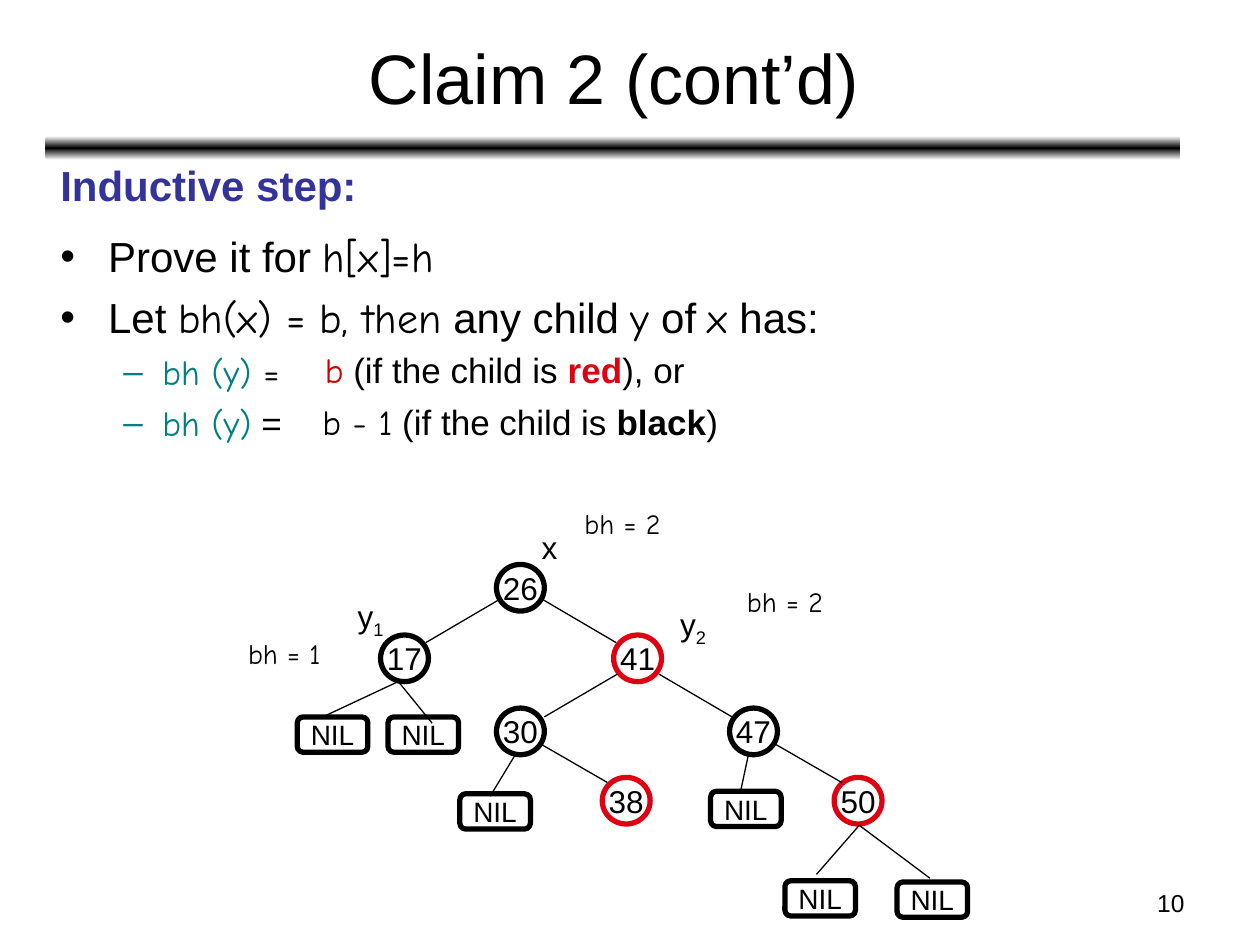
"""Build the red-black tree slide for the inductive step of Claim 2."""
from copy import deepcopy

from lxml import etree
from pptx import Presentation
from pptx import util as u
from pptx.dml.color import RGBColor
from pptx.enum import shapes, text
from pptx.oxml import ns

BLACK = RGBColor(0x00, 0x00, 0x00)
WHITE = RGBColor(0xFF, 0xFF, 0xFF)
RED = RGBColor(0xDD, 0x01, 0x11)
DARK_RED = RGBColor(0xCC, 0x00, 0x00)
TEAL = RGBColor(0x00, 0x80, 0x80)
INDIGO = RGBColor(0x33, 0x33, 0x99)
SANS = "Arial"
HAND = "Comic Neue"
CENTER = text.PP_ALIGN.CENTER
MIDDLE = text.MSO_ANCHOR.MIDDLE


def add_run(paragraph, words, size=18, font=SANS, color=BLACK, bold=False, baseline=None):
    run = paragraph.add_run()
    run.text = words
    run.font.size = u.Pt(size)
    run.font.name = font
    run.font.color.rgb = color
    run.font.bold = bold
    if baseline is not None:
        run.font._element.set("baseline", str(baseline * 1000))


class TreeSlide:
    def __init__(self, slide, node_size=(0.38, 0.37), leaf_size=(0.56, 0.28)):
        self.slide = slide
        self.node_size = node_size
        self.leaf_size = leaf_size

    def text_box(self, box, runs=(), align=text.PP_ALIGN.LEFT, anchor=text.MSO_ANCHOR.TOP, wrap=True):
        shape = self.slide.shapes.add_textbox(*map(u.Inches, box))
        frame = shape.text_frame
        frame.word_wrap = wrap
        frame.auto_size = text.MSO_AUTO_SIZE.NONE if wrap else text.MSO_AUTO_SIZE.SHAPE_TO_FIT_TEXT
        frame.vertical_anchor = anchor
        paragraph = frame.paragraphs[0]
        paragraph.alignment = align
        for words, style in runs:
            add_run(paragraph, words, **style)
        return frame

    def body_line(self, paragraph, runs, margin=0.38, indent=0.38, before=6,
                  bullet=None, bullet_color=BLACK, spacing=1.0):
        paragraph.space_before = u.Pt(before)
        paragraph.line_spacing = spacing
        properties = paragraph._p.get_or_add_pPr()
        properties.set("marL", str(u.Inches(margin)))
        properties.set("indent", str(-u.Inches(indent)))
        if bullet:
            color = etree.SubElement(properties, ns.qn("a:buClr"))
            etree.SubElement(color, ns.qn("a:srgbClr"), val=str(bullet_color))
            etree.SubElement(properties, ns.qn("a:buFont"), typeface=SANS)
            etree.SubElement(properties, ns.qn("a:buChar"), char=bullet)
        for words, style in runs:
            add_run(paragraph, words, **style)

    def divider(self, box):
        shape = self.slide.shapes.add_shape(shapes.MSO_SHAPE.ROUNDED_RECTANGLE, *map(u.Inches, box))
        shape.shadow.inherit = False
        shape.line.fill.background()
        shape.fill.gradient()
        stop_list = next(shape._element.iter(ns.qn("a:gsLst")))
        stop_list.append(deepcopy(stop_list[0]))
        for stop, position, color in zip(shape.fill.gradient_stops, (0, 0.5, 1), (WHITE, BLACK, WHITE)):
            stop.position = position
            stop.color.rgb = color
        shape.fill.gradient_angle = 90

    def outlined(self, kind, left, top, size, label, font_size, color=BLACK):
        shape = self.slide.shapes.add_shape(kind, *map(u.Inches, (left, top, *size)))
        shape.shadow.inherit = False
        shape.fill.background()
        shape.line.color.rgb = color
        shape.line.width = u.Pt(3)
        frame = shape.text_frame
        frame.word_wrap = False
        frame.vertical_anchor = MIDDLE
        frame.paragraphs[0].alignment = CENTER
        add_run(frame.paragraphs[0], label, size=font_size)

    def node(self, label, left, top, color=BLACK):
        self.outlined(shapes.MSO_SHAPE.OVAL, left, top, self.node_size, label, 18, color)

    def leaf(self, left, top):
        self.outlined(shapes.MSO_SHAPE.ROUNDED_RECTANGLE, left, top, self.leaf_size, "NIL", 16)

    def edge(self, *ends):
        line = self.slide.shapes.add_connector(shapes.MSO_CONNECTOR.STRAIGHT, *map(u.Inches, ends))
        line.line.color.rgb = BLACK
        line.line.width = u.Pt(0.75)
        etree.SubElement(line._element.spPr, ns.qn("a:effectLst"))


def add_claim(page):
    page.divider((0.36, 1.08, 9.01, 0.19))
    page.text_box((7.17, 7, 2.33, 0.35), [("10", dict(size=14))], align=text.PP_ALIGN.RIGHT)
    page.text_box((0.37, 0.11, 9, 0.99), [("Claim 2 (cont’d)", dict(size=40))], CENTER, MIDDLE)

    sans, hand = dict(size=24), dict(size=24, font=HAND)
    small, small_hand = dict(size=20), dict(size=20, font=HAND)
    dot = dict(bullet="•")
    dash = dict(bullet="–", bullet_color=TEAL, margin=0.81, indent=0.31, before=5)
    height = ("bh (y)", dict(small_hand, color=TEAL))
    lines = [
        ([("Inductive step:", dict(sans, color=INDIGO, bold=True))], {}),
        ([("Prove it for ", sans), ("h[x]=h", hand)], dict(dot, spacing=1.2)),
        ([("Let ", sans), ("bh(x) = b, then", hand), (" any child ", sans), ("y", hand),
          (" of ", sans), ("x", hand), (" has:", sans)], dot),
        ([height, (" =", small_hand)], dash),
        ([height, (" =", small)], dash),
    ]
    frame = page.text_box((0.38, 1.22, 9.11, 6.36))
    for index, (runs, layout) in enumerate(lines):
        paragraph = frame.add_paragraph() if index else frame.paragraphs[0]
        page.body_line(paragraph, runs, **layout)

    condition = (" (if the child is ", small)
    page.text_box((2.48, 2.72, 3.1, 0.44), [
        ("b", dict(small_hand, color=DARK_RED)), condition,
        ("red", dict(small, color=RED, bold=True)), ("), or", small)], wrap=False)
    page.text_box((2.46, 3.13, 3.4, 0.44), [
        ("b - 1", small_hand), condition,
        ("black", dict(small, bold=True)), (")", small)], wrap=False)


def add_tree(page):
    for label, left, top, color in [
        ("26", 3.94, 4.48, BLACK), ("17", 3.02, 5.04, BLACK), ("41", 4.87, 5.04, RED),
        ("30", 3.94, 5.62, BLACK), ("47", 5.79, 5.62, BLACK),
        ("38", 4.78, 6.17, RED), ("50", 6.62, 6.17, RED),
    ]:
        page.node(label, left, top, color)

    for name, subscript, box in [
        ("x", "", (4.2, 4.14, 0.35, 0.4)),
        ("y", "1", (2.74, 4.69, 0.45, 0.44)),
        ("y", "2", (5.3, 4.75, 0.45, 0.44)),
    ]:
        runs = [(name, {})] + ([(subscript, dict(baseline=-25))] if subscript else [])
        page.text_box(box, runs, wrap=False)

    for value, left, top in [(2, 5.83, 4.59), (2, 4.54, 3.97), (1, 1.87, 5)]:
        page.text_box((left, top, 0.85, 0.37), [(f"bh = {value}", dict(size=16, font=HAND))], wrap=False)

    for left, top in [(2.36, 5.69), (3.08, 5.69), (3.65, 6.3), (5.64, 6.28), (7.12, 7), (6.23, 6.99)]:
        page.leaf(left, top)

    for ends in [
        (3.96, 4.76, 3.38, 5.1), (4.31, 4.76, 4.89, 5.1),
        (4.9, 5.35, 4.32, 5.69), (5.23, 5.35, 5.81, 5.69),
        (4.3, 5.91, 4.82, 6.21), (6.16, 5.91, 6.68, 6.21),
        (3.16, 5.41, 2.54, 5.7), (3.17, 5.42, 3.43, 5.74),
        (4.09, 5.99, 3.89, 6.32), (5.94, 5.99, 5.88, 6.27),
        (6.82, 6.55, 6.48, 6.94), (6.82, 6.55, 7.38, 6.97),
    ]:
        page.edge(*ends)


def main():
    presentation = Presentation()
    presentation.slide_width = u.Inches(10)
    presentation.slide_height = u.Inches(7.5)
    page = TreeSlide(presentation.slides.add_slide(presentation.slide_layouts[6]))
    add_claim(page)
    add_tree(page)
    presentation.save("out.pptx")


if __name__ == "__main__":
    main()
